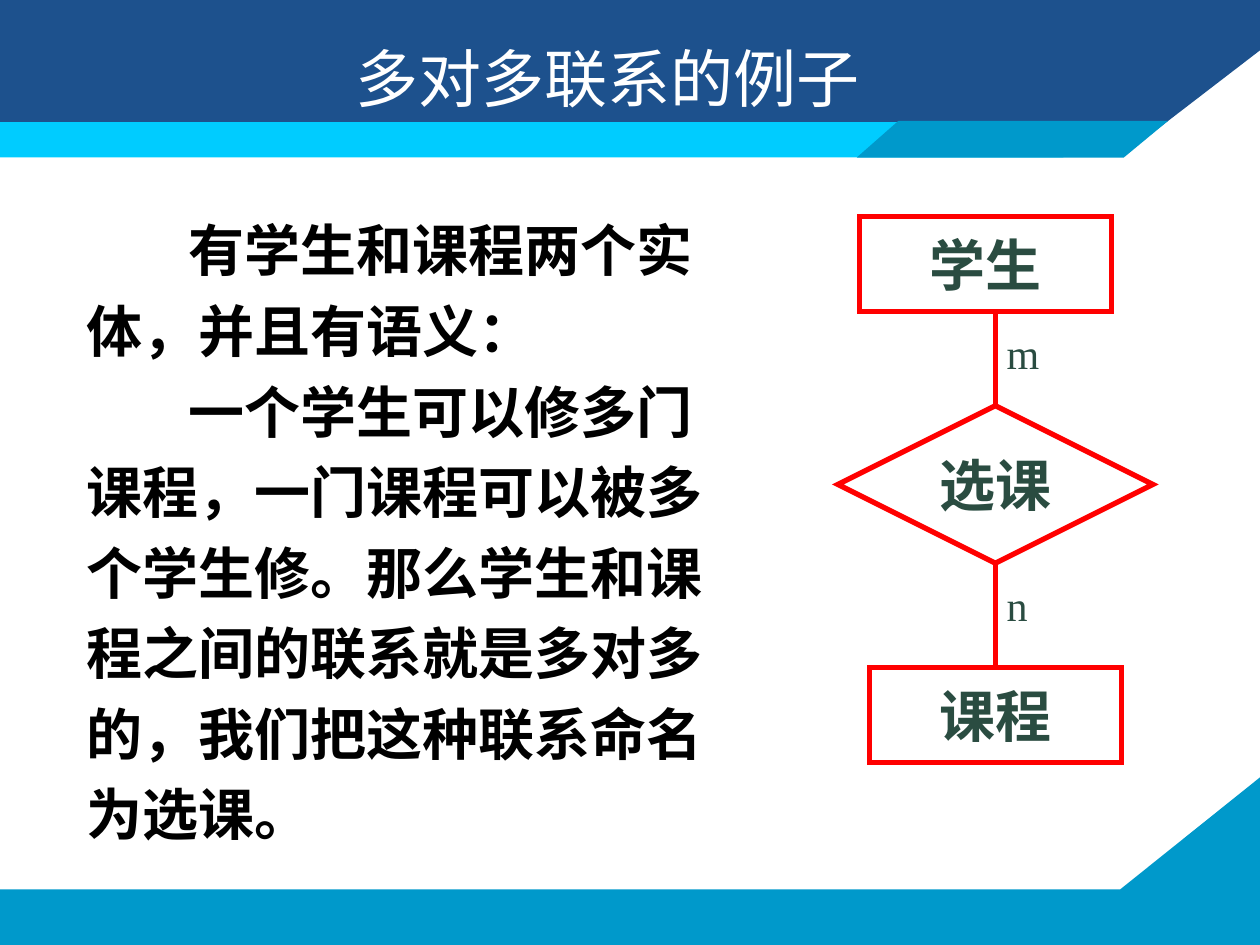
from lxml.etree import SubElement
from pptx import Presentation
from pptx.dml.color import RGBColor
from pptx.enum.shapes import MSO_CONNECTOR as Connector, MSO_SHAPE as Shape
from pptx.enum.text import MSO_ANCHOR as Anchor, PP_ALIGN as Align
from pptx.oxml.ns import qn
from pptx.util import Inches, Pt

COLORS = {
    "navy": "1D518D",
    "blue": "0099CB",
    "cyan": "00CCFF",
    "red": "FF0000",
    "green": "2A4C41",
    "black": "000000",
    "white": "FFFFFF",
}
CJK_FONT = "Noto Sans CJK SC"
LATIN_FONT = "Times New Roman"


def color(name):
    return RGBColor.from_string(COLORS[name])


def write(frame, *texts, size=32, ink="black", font=LATIN_FONT, bold=False,
          align=Align.LEFT, anchor=Anchor.TOP, wrap=True, spacing=None, indent=0):
    frame.word_wrap = wrap
    frame.vertical_anchor = anchor
    for index, text in enumerate(texts):
        para = frame.add_paragraph() if index else frame.paragraphs[0]
        para.alignment = align
        if spacing:
            para.line_spacing = Pt(spacing)
        if indent:
            para._p.get_or_add_pPr().set("indent", str(Inches(indent)))
        span = para.add_run()
        span.text = text
        span.font.size = Pt(size)
        span.font.name = font
        span.font.bold = bold
        span.font.color.rgb = color(ink)
        SubElement(span.font._element, qn("a:ea"), typeface=CJK_FONT)


class SlideBuilder:
    line_color = "red"
    line_width = Pt(3)

    def __init__(self, page):
        self.page = page
        self.shapes = page.shapes

    def fill(self, shape, name):
        shape.shadow.inherit = False
        shape.fill.solid()
        shape.fill.fore_color.rgb = color(name)
        shape.line.fill.background()

    def outline(self, shape):
        shape.line.color.rgb = color(self.line_color)
        shape.line.width = self.line_width
        SubElement(shape.line._get_or_add_ln(), qn("a:miter"), lim="800000")

    def polygon(self, points, name):
        start, *rest = [(Inches(x), Inches(y)) for x, y in points]
        builder = self.shapes.build_freeform(*start)
        builder.add_line_segments(rest, close=True)
        self.fill(builder.convert_to_shape(), name)

    def bar(self, left, top, width, height, name):
        bar = self.shapes.add_shape(Shape.RECTANGLE, *map(Inches, (left, top, width, height)))
        self.fill(bar, name)

    def title(self, text, left, top, width, height):
        title = self.shapes.title
        self.shapes.element.append(title.element)
        title.left, title.top, title.width, title.height = map(Inches, (left, top, width, height))
        title.text_frame.margin_right = 0
        write(title.text_frame, text, size=36, ink="white", font=CJK_FONT, anchor=Anchor.MIDDLE)

    def text(self, texts, left, top, width, height, **style):
        box = self.shapes.add_textbox(*map(Inches, (left, top, width, height)))
        write(box.text_frame, *texts, **style)

    def node(self, kind, text, left, top, width, height):
        node = self.shapes.add_shape(kind, *map(Inches, (left, top, width, height)))
        node.shadow.inherit = False
        node.fill.background()
        self.outline(node)
        write(node.text_frame, text, ink="green", bold=True, align=Align.CENTER,
              anchor=Anchor.MIDDLE, wrap=False)
        return node

    def link(self, x, start, end):
        link = self.shapes.add_connector(Connector.STRAIGHT, *map(Inches, (x, start, x, end)))
        self.outline(link)
        SubElement(link._element.spPr, qn("a:effectLst"))
        return link


def main():
    deck = Presentation()
    deck.slide_width, deck.slide_height = Inches(10), Inches(7.5)
    slide = SlideBuilder(deck.slides.add_slide(deck.slide_layouts[5]))

    slide.polygon([(0, 7.06), (8.89, 7.06), (10, 6.17), (10, 7.5), (0, 7.5)], "blue")
    slide.polygon([(0, 0), (10, 0), (10, 0.4), (8.92, 1.23), (0, 1.24)], "navy")
    slide.bar(0, 0.97, 8.44, 0.28, "cyan")
    slide.polygon([(6.8, 1.25), (8.92, 1.25), (9.27, 0.96), (7.13, 0.96)], "blue")
    slide.title("多对多联系的例子", 2.72, 0.26, 4.2, 0.71)

    slide.text(
        ["有学生和课程两个实体，并且有语义：",
         "一个学生可以修多门课程，一门课程可以被多个学生修。"
         "那么学生和课程之间的联系就是多对多的，我们把这种联系命名为选课。"],
        0.59, 1.56, 5.41, 5.27, bold=True, spacing=46, indent=0.81)

    slide.node(Shape.RECTANGLE, "学生", 6.82, 1.72, 2, 0.75)
    course = slide.node(Shape.RECTANGLE, "课程", 6.9, 5.3, 2, 0.75)
    choice = slide.node(Shape.FLOWCHART_DECISION, "选课", 6.65, 3.22, 2.5, 1.25)

    student_link = slide.link(7.9, 3.22, 2.47)
    student_link.begin_connect(choice, 0)
    course_link = slide.link(7.9, 4.47, 5.3)
    course_link.begin_connect(choice, 2)
    course_link.end_connect(course, 0)

    for label, top, width in (("m", 2.55, 0.46), ("n", 4.55, 0.37)):
        slide.text([label], 7.89, top, width, 0.5, size=24, ink="green", wrap=False)

    deck.save("out.pptx")


if __name__ == "__main__":
    main()
